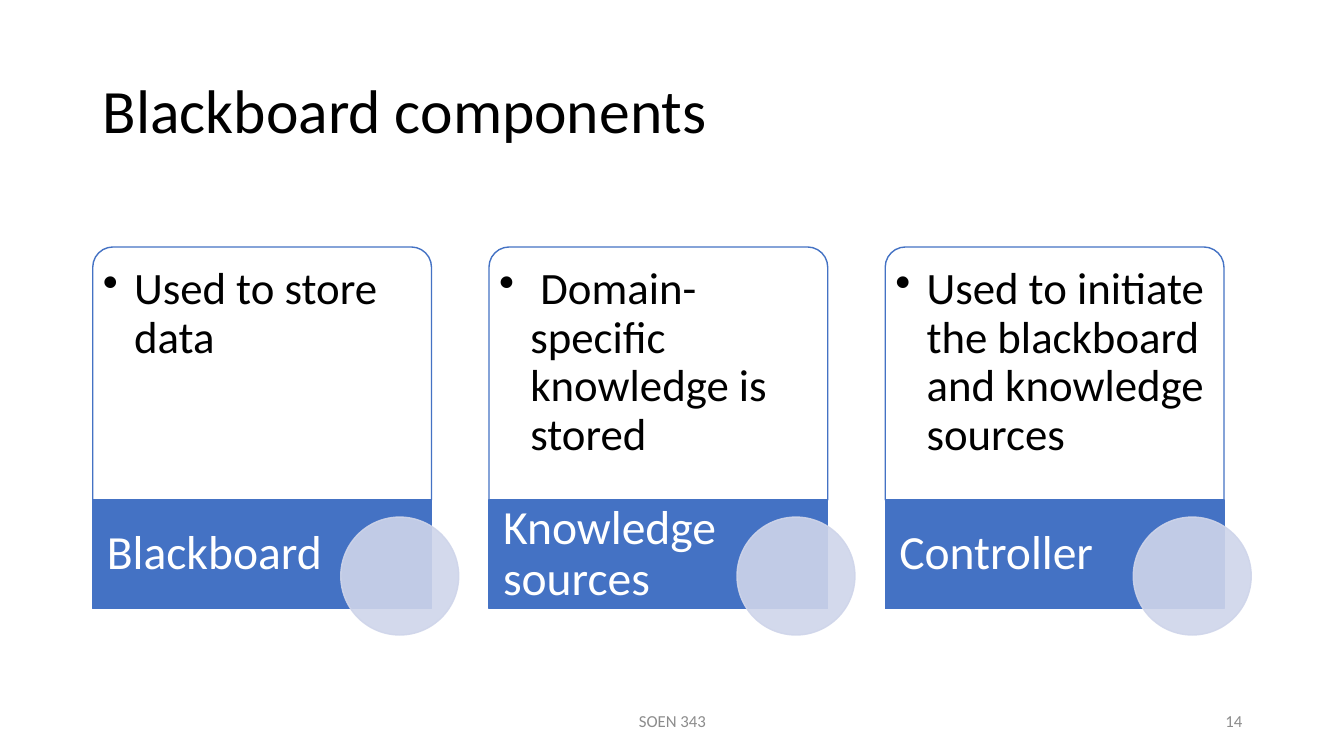
from pptx import Presentation
from pptx import util as u
from pptx.dml.color import RGBColor
from pptx.enum import shapes, text
from pptx.oxml import ns, xmlchemy

PX = 9144  # 100 px to the inch
FONT = "Calibri"
BLACK, WHITE, GREY = "000000", "FFFFFF", "8C8C8C"
BLUE, PALE = "4472C4", "CFD5EA"
CARD_LEFT, CARD_PITCH, CARD_WIDTH = 92, 393, 336
CARD_TOP, CARD_HEIGHT, BAR_HEIGHT = 245, 251, 108
CARDS = [
    ("Blackboard", "Used to store data"),
    ("Knowledge sources", " Domain-specific knowledge is stored"),
    ("Controller", "Used to initiate the blackboard and knowledge sources"),
]


def px(*lengths):
    return [u.Emu(length * PX) for length in lengths]


def color(target, value):
    target.rgb = RGBColor.from_string(value)


def set_alpha(fill_owner, percent):
    """Make the solid colour inside an XML element partly transparent."""
    rgb = fill_owner.find(ns.qn("a:solidFill")).find(ns.qn("a:srgbClr"))
    alpha = xmlchemy.OxmlElement("a:alpha")
    alpha.set("val", str(percent * 1000))
    rgb.append(alpha)


def add_panel(slide, kind, box, fill, line):
    panel = slide.shapes.add_shape(kind, *px(*box))
    panel.shadow.inherit = False
    panel.fill.solid()
    color(panel.fill.fore_color, fill)
    color(panel.line.color, line)
    panel.line.width = u.Pt(1)
    return panel


def add_label(slide, box, words, size, ink, align=text.PP_ALIGN.LEFT,
              anchor=text.MSO_ANCHOR.MIDDLE, insets=(10, 5, 10, 5), spacing=0.9):
    frame = slide.shapes.add_textbox(*px(*box)).text_frame
    frame.word_wrap = True
    frame.vertical_anchor = anchor
    (frame.margin_left, frame.margin_top,
     frame.margin_right, frame.margin_bottom) = px(*insets)
    frame.text = words
    paragraph = frame.paragraphs[0]
    paragraph.alignment = align
    paragraph.line_spacing = spacing
    font = paragraph.runs[0].font
    font.name, font.size = FONT, u.Pt(size)
    color(font.color, ink)
    return paragraph


def add_bullet(paragraph, indent):
    properties = paragraph._p.get_or_add_pPr()
    properties.set("marL", str(indent * PX))
    properties.set("indent", str(-indent * PX))
    bullet = xmlchemy.OxmlElement("a:buChar")
    bullet.set("char", "•")
    properties.append(bullet)


def add_card(slide, left, heading, description):
    bar_top = CARD_TOP + CARD_HEIGHT
    body = add_panel(slide, shapes.MSO_SHAPE.ROUND_2_SAME_RECTANGLE,
                     (left, CARD_TOP, CARD_WIDTH, CARD_HEIGHT), WHITE, BLUE)
    body.adjustments[0] = 0.08
    body.adjustments[1] = 0
    set_alpha(body._element.spPr, 90)
    detail = add_label(slide, (left + 6, CARD_TOP + 6, CARD_WIDTH - 12, CARD_HEIGHT - 6),
                       description, 32, BLACK, anchor=text.MSO_ANCHOR.TOP,
                       insets=(4, 13, 4, 4))
    add_bullet(detail, 31)

    add_panel(slide, shapes.MSO_SHAPE.RECTANGLE,
              (left, bar_top, CARD_WIDTH, BAR_HEIGHT), BLUE, BLUE)
    add_label(slide, (left, bar_top, CARD_WIDTH - 100, BAR_HEIGHT),
              heading, 34, WHITE, insets=(14, 0, 5, 0))

    disc = add_panel(slide, shapes.MSO_SHAPE.OVAL,
                     (left + 246, bar_top + 17, 117, 117), PALE, PALE)
    set_alpha(disc._element.spPr, 90)
    set_alpha(disc.line._ln, 90)


def main():
    deck = Presentation()
    deck.slide_width, deck.slide_height = px(1333, 750)
    slide = deck.slides.add_slide(deck.slide_layouts[6])
    slide.background.fill.solid()
    color(slide.background.fill.fore_color, WHITE)

    add_label(slide, (92, 40, 1150, 145), "Blackboard components", 44, BLACK)
    for index, (heading, description) in enumerate(CARDS):
        add_card(slide, CARD_LEFT + index * CARD_PITCH, heading, description)
    add_label(slide, (442, 695, 450, 40), "SOEN 343", 12, GREY,
              align=text.PP_ALIGN.CENTER, spacing=1.0)
    add_label(slide, (942, 695, 300, 40), "14", 12, GREY,
              align=text.PP_ALIGN.RIGHT, spacing=1.0)
    deck.save("out.pptx")


if __name__ == "__main__":
    main()
